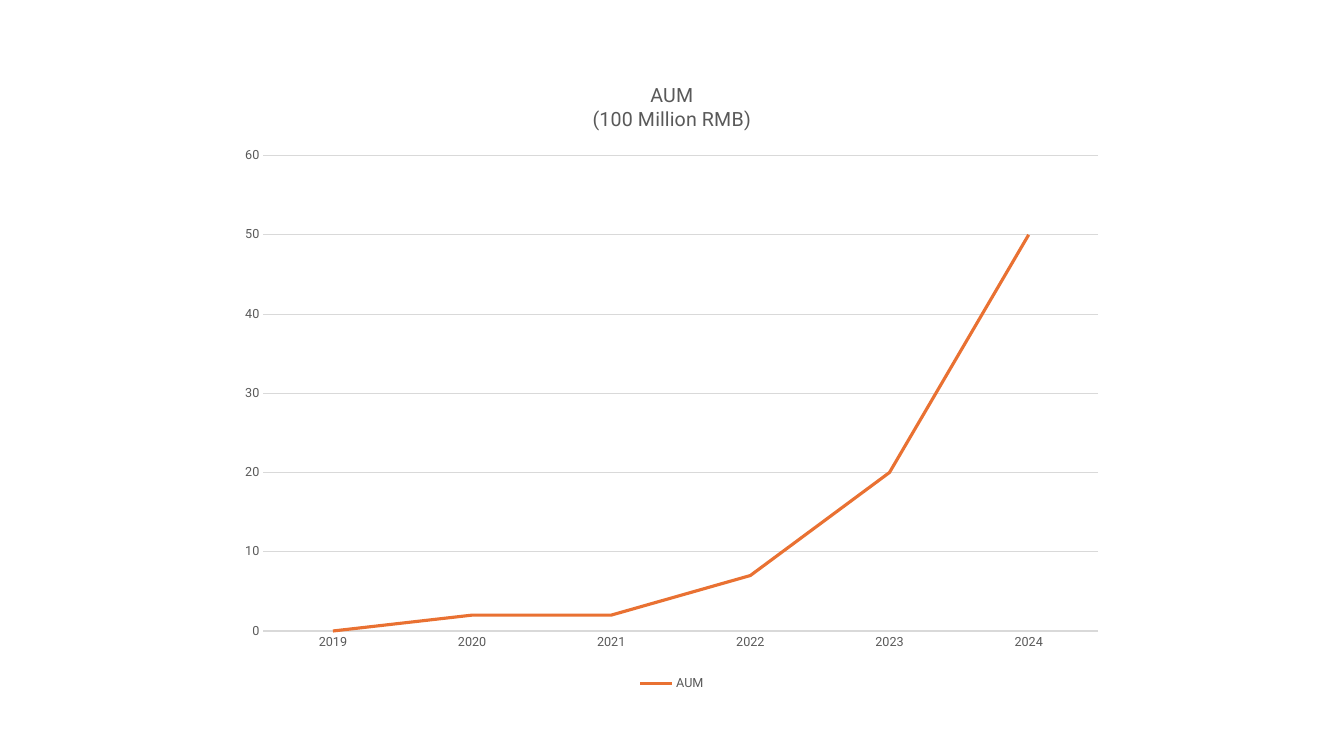
from dataclasses import dataclass

import pptx
import pptx.chart.data
import pptx.dml.color
import pptx.enum.chart
import pptx.oxml
import pptx.oxml.ns
import pptx.util

Inches = pptx.util.Inches
Pt = pptx.util.Pt
RGBColor = pptx.dml.color.RGBColor

ORANGE = RGBColor(0xE9, 0x71, 0x32)
TEXT_GREY = RGBColor(0x59, 0x59, 0x59)
RULE_GREY = RGBColor(0xD9, 0xD9, 0xD9)
FONT_NAME = "Roboto"

YEARS = ["2019", "2020", "2021", "2022", "2023", "2024"]
TITLE_LINES = ["AUM", "(100 Million RMB)"]


@dataclass(frozen=True)
class Measure:
    name: str
    values: tuple[float, ...]
    color: RGBColor
    width: float


MEASURES = [Measure("AUM", (0, 2, 2, 7, 20, 50), ORANGE, 2.25)]


def style_font(font, *, size: float, color: RGBColor = TEXT_GREY) -> None:
    font.name = FONT_NAME
    font.size = Pt(size)
    font.bold = False
    font.color.rgb = color


def write_line(paragraph, text: str, *, size: float, color: RGBColor = TEXT_GREY) -> None:
    run = paragraph.add_run()
    run.text = text
    style_font(run.font, size=size, color=color)


def style_rule(line) -> None:
    line.color.rgb = RULE_GREY
    line.width = Pt(0.75)


def style_measure(series, measure: Measure) -> None:
    series.smooth = False
    series.format.line.color.rgb = measure.color
    series.format.line.width = Pt(measure.width)
    series.marker.style = pptx.enum.chart.XL_MARKER_STYLE.NONE


def place_plot(chart, *, x: float, y: float, w: float, h: float) -> None:
    """Fix the inner plot area, in fractions of the chart."""
    plot_area = chart.plots[0]._element.getparent()
    for old in plot_area.findall(pptx.oxml.ns.qn("c:layout")):
        plot_area.remove(old)
    layout = pptx.oxml.parse_xml(
        f'<c:layout {pptx.oxml.ns.nsdecls("c")}><c:manualLayout>'
        '<c:layoutTarget val="inner"/><c:xMode val="edge"/><c:yMode val="edge"/>'
        f'<c:x val="{x}"/><c:y val="{y}"/><c:w val="{w}"/><c:h val="{h}"/>'
        "</c:manualLayout></c:layout>"
    )
    plot_area.insert(0, layout)


def add_aum_chart(slide) -> None:
    data = pptx.chart.data.CategoryChartData()
    data.categories = YEARS
    for measure in MEASURES:
        data.add_series(measure.name, measure.values)
    chart = slide.shapes.add_chart(
        pptx.enum.chart.XL_CHART_TYPE.LINE,
        Inches(2.26), Inches(0.6), Inches(8.81), Inches(6.29), data,
    ).chart
    style_font(chart.font, size=10)
    place_plot(chart, x=0.04, y=0.15, w=0.94, h=0.75)

    # Title
    chart.has_title = True
    heading = chart.chart_title.text_frame
    for index, text in enumerate(TITLE_LINES):
        paragraph = heading.add_paragraph() if index else heading.paragraphs[0]
        write_line(paragraph, text, size=14)
    chart.chart_title.include_in_layout = False

    # Axes
    years, amounts = chart.category_axis, chart.value_axis
    for axis in (years, amounts):
        axis.major_tick_mark = pptx.enum.chart.XL_TICK_MARK.NONE
        axis.minor_tick_mark = pptx.enum.chart.XL_TICK_MARK.NONE
        style_font(axis.tick_labels.font, size=9)
    style_rule(years.format.line)
    amounts.format.line.fill.background()
    amounts.has_major_gridlines = True
    style_rule(amounts.major_gridlines.format.line)
    amounts.minimum_scale, amounts.maximum_scale, amounts.major_unit = 0, 60, 10

    # Legend
    chart.has_legend = True
    chart.legend.position = pptx.enum.chart.XL_LEGEND_POSITION.BOTTOM
    chart.legend.include_in_layout = False
    style_font(chart.legend.font, size=9)

    # Lines
    chart.plots[0].vary_by_categories = False
    for series, measure in zip(chart.plots[0].series, MEASURES):
        style_measure(series, measure)


def main() -> None:
    deck = pptx.Presentation()
    deck.slide_width, deck.slide_height = Inches(13.33), Inches(7.5)
    add_aum_chart(deck.slides.add_slide(deck.slide_layouts[6]))
    deck.save("out.pptx")


if __name__ == "__main__":
    main()
